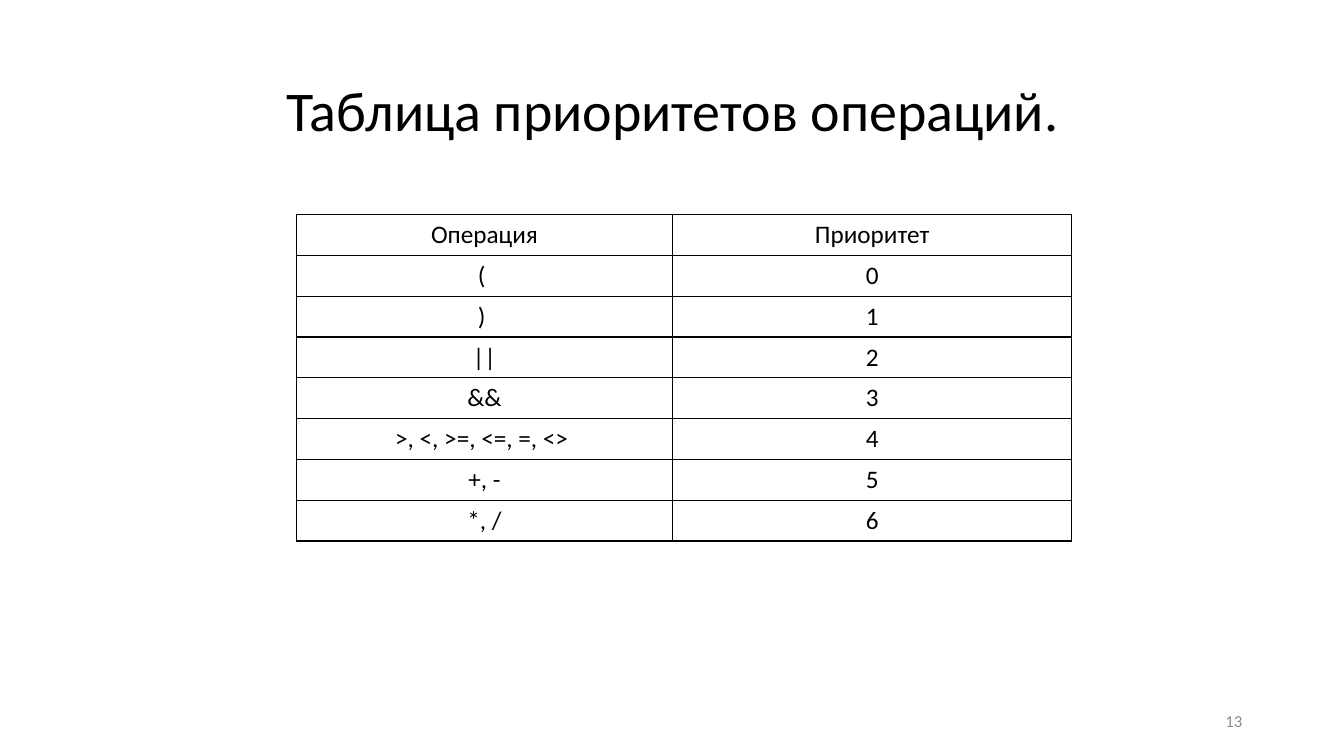
from lxml import etree
from pptx import Presentation
from pptx.dml.color import RGBColor
from pptx.enum import text
from pptx.oxml import ns
from pptx.util import Inches, Pt

# Content
TITLE = "Таблица приоритетов операций."
PAGE_NUMBER = "13"
HEADER = ("Операция", "Приоритет")
OPERATIONS = ["( ", ") ", "||", "&&", ">, <, >=, <=, =, <> ", "+, -", "*, /"]
ROWS = [HEADER] + [(signs, str(rank)) for rank, signs in enumerate(OPERATIONS)]

# Style
FONT = "Calibri"
BLACK = RGBColor(0x00, 0x00, 0x00)
GRAY = RGBColor(0x8C, 0x8C, 0x8C)
COLUMN_WIDTHS = (3.73, 3.96)
TABLE_HEIGHT = 3.24
BORDER_WIDTH = Pt(1)


def style(para, size, color, align):
    para.alignment = align
    para.font.name = FONT
    para.font.size = Pt(size)
    para.font.color.rgb = color


def add_label(page, place, words, size, color, align):
    box = page.shapes.add_textbox(*map(Inches, place))
    frame = box.text_frame
    frame.word_wrap = True
    frame.vertical_anchor = text.MSO_ANCHOR.MIDDLE
    para = frame.paragraphs[0]
    para.text = words
    style(para, size, color, align)
    return para


def add_borders(cell):
    props = cell._tc.get_or_add_tcPr()
    # Borders come before the fill in a cell's properties
    for index, side in enumerate(("lnL", "lnR", "lnT", "lnB")):
        line = etree.Element(ns.qn(f"a:{side}"), w=str(BORDER_WIDTH))
        fill = etree.SubElement(line, ns.qn("a:solidFill"))
        etree.SubElement(fill, ns.qn("a:srgbClr"), val=str(BLACK))
        props.insert(index, line)


def add_priority_table(page):
    frame = page.shapes.add_table(
        len(ROWS), len(HEADER), Inches(2.94), Inches(2.13),
        Inches(sum(COLUMN_WIDTHS)), Inches(TABLE_HEIGHT))
    table = frame.table
    table.first_row = table.horz_banding = False
    for column, width in zip(table.columns, COLUMN_WIDTHS):
        column.width = Inches(width)
    for row_index, row in enumerate(ROWS):
        for column_index, words in enumerate(row):
            cell = table.cell(row_index, column_index)
            cell.text = words
            cell.fill.background()
            style(cell.text_frame.paragraphs[0], 18, BLACK, text.PP_ALIGN.CENTER)
            add_borders(cell)


def main():
    deck = Presentation()
    deck.slide_width, deck.slide_height = Inches(13.33), Inches(7.5)
    page = deck.slides.add_slide(deck.slide_layouts[6])

    # Title, table, page number
    title = add_label(page, (0.92, 0.4, 11.5, 1.45), TITLE, 40, BLACK,
                      text.PP_ALIGN.CENTER)
    title.line_spacing = 0.9
    add_priority_table(page)
    add_label(page, (9.42, 6.95, 3, 0.4), PAGE_NUMBER, 12, GRAY,
              text.PP_ALIGN.RIGHT)

    deck.save("out.pptx")


if __name__ == "__main__":
    main()
